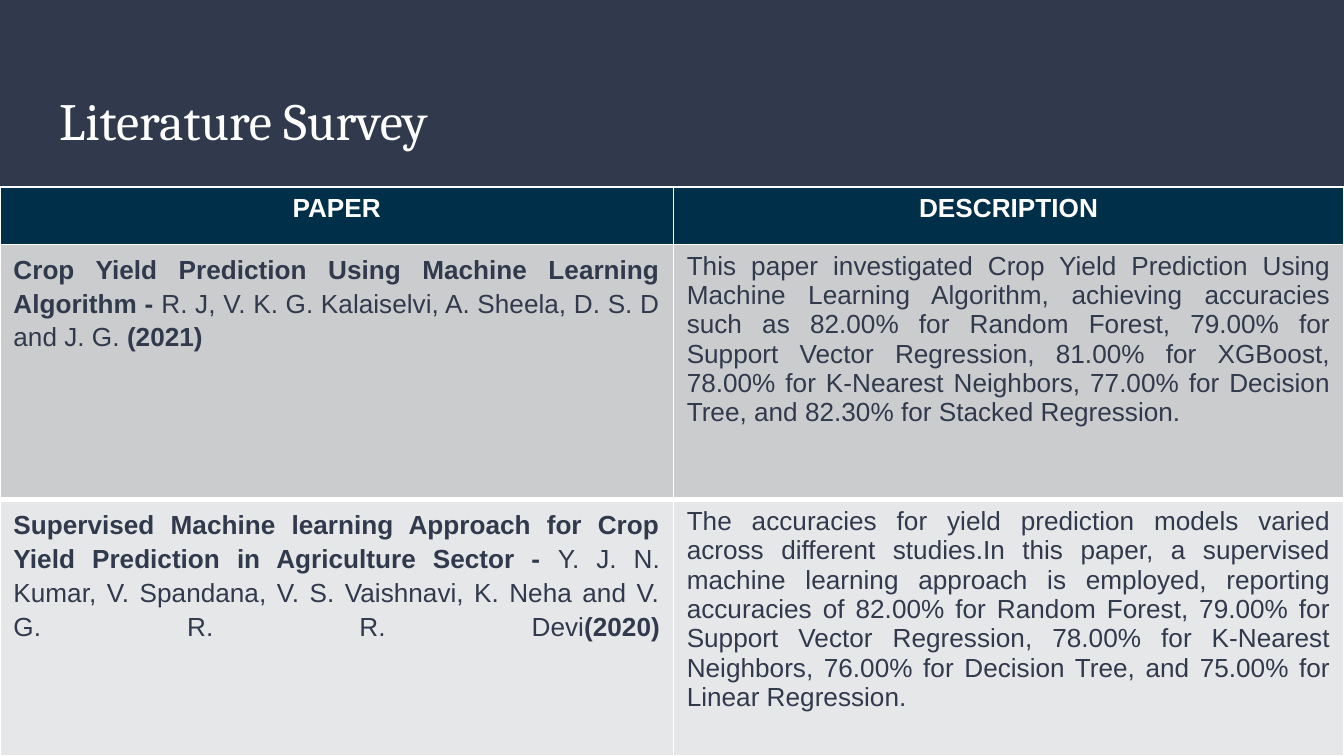
from lxml import etree
from pptx import Presentation, util as u
from pptx.dml.color import RGBColor
from pptx.enum import shapes, text
from pptx.oxml.ns import qn

# Content: (bold title, authors, bold year, description)
TITLE = "Literature Survey"
HEADS = ["PAPER", "DESCRIPTION"]
PAPERS = [
    ("Crop Yield Prediction Using Machine Learning Algorithm - ",
     "R. J, V. K. G. Kalaiselvi, A. Sheela, D. S. D and J. G.",
     " (2021)",
     "This paper investigated Crop Yield Prediction Using Machine Learning "
     "Algorithm, achieving accuracies such as 82.00% for Random Forest, "
     "79.00% for Support Vector Regression, 81.00% for XGBoost, 78.00% for "
     "K-Nearest Neighbors, 77.00% for Decision Tree, and 82.30% for Stacked "
     "Regression."),
    ("Supervised Machine learning Approach for Crop Yield Prediction in "
     "Agriculture Sector - ",
     "Y. J. N. Kumar, V. Spandana, V. S. Vaishnavi, K. Neha and V. G. R. R. Devi",
     "(2020)",
     "The accuracies for yield prediction models varied across different "
     "studies.In this paper, a supervised machine learning approach is "
     "employed, reporting accuracies of 82.00% for Random Forest, 79.00% for "
     "Support Vector Regression, 78.00% for K-Nearest Neighbors, 76.00% for "
     "Decision Tree, and 75.00% for Linear Regression."),
]
COLORS = {"band": "31394D", "head": "002F4A", "ink": "31394D",
          "white": "FFFFFF", "rows": ["CACCCE", "E6E7E8"]}
WIDTH = 10
COLS = [5.01, 4.99]
ROWS = [0.43, 1.9, 1.9]
ALIGN = text.PP_ALIGN


def rgb(name):
    return RGBColor.from_string(name)


def paint(shape, color):
    shape.fill.solid()
    shape.fill.fore_color.rgb = rgb(color)


def style(par, size, face, color, align):
    par.alignment = align
    font = par.font
    font.size, font.name = u.Pt(size), face
    font.color.rgb = rgb(color)


def border(cell, top, bottom):
    props = cell._tc.get_or_add_tcPr()
    sides = [("lnL", 1), ("lnR", 1), ("lnT", top), ("lnB", bottom)]
    for spot, (side, width) in enumerate(sides):
        line = etree.Element(qn("a:" + side), w=str(u.Pt(width)))
        fill = etree.SubElement(line, qn("a:solidFill"))
        etree.SubElement(fill, qn("a:srgbClr"), val=COLORS["white"])
        props.insert(spot, line)


# A 16:9 slide
deck = Presentation()
deck.slide_width = u.Inches(WIDTH)
deck.slide_height = u.Inches(WIDTH * 9 / 16)
slide = deck.slides.add_slide(deck.slide_layouts[5])

# Header band, behind the title
band = slide.shapes.add_shape(shapes.MSO_SHAPE.RECTANGLE, 0, 0,
                              u.Inches(WIDTH), u.Inches(1.4))
band.shadow.inherit = False
paint(band, COLORS["band"])
band.line.fill.background()
slide.shapes._spTree.insert(2, band._element)

# Title
title = slide.shapes.title
title.left, title.top = u.Inches(0.34), u.Inches(0.55)
title.width, title.height = u.Inches(9.32), u.Inches(0.68)
frame = title.text_frame
frame.text = TITLE
frame.vertical_anchor = text.MSO_ANCHOR.MIDDLE
frame.margin_left = frame.margin_right = u.Inches(0.1)
frame.margin_top = frame.margin_bottom = u.Inches(0.1)
style(frame.paragraphs[0], 28, "Cambria", COLORS["white"], ALIGN.LEFT)

# Survey table
table = slide.shapes.add_table(len(ROWS), len(COLS), 0, u.Inches(1.39),
                               u.Inches(sum(COLS)), u.Inches(sum(ROWS))).table
for col, width in zip(table.columns, COLS):
    col.width = u.Inches(width)
for row, height in zip(table.rows, ROWS):
    row.height = u.Inches(height)

for c, head in enumerate(HEADS):
    cell = table.cell(0, c)
    cell.text = head
    paint(cell, COLORS["head"])
    border(cell, 1, 1)
    par = cell.text_frame.paragraphs[0]
    style(par, 14, "Arial", COLORS["white"], ALIGN.CENTER)
    par.font.bold = True

last = len(PAPERS)
for r, (name, people, year, about) in enumerate(PAPERS, 1):
    cells = [table.cell(r, c) for c in range(len(COLS))]
    pars = [cell.text_frame.paragraphs[0] for cell in cells]
    for part, bold in [(name, True), (people, False), (year, True)]:
        run = pars[0].add_run()
        run.text, run.font.bold = part, bold
    if r == last:
        pars[0].add_line_break()  # stretches the closing line
    pars[0].line_spacing = 1.15
    pars[0].space_after = u.Pt(6)
    pars[1].text = about
    pars[1].font.bold = False
    for cell, par in zip(cells, pars):
        paint(cell, COLORS["rows"][r - 1])
        border(cell, 1 if r == 1 else 3, 1 if r == last else 3)
        style(par, 14, "Arial", COLORS["ink"], ALIGN.JUSTIFY)

deck.save("out.pptx")
